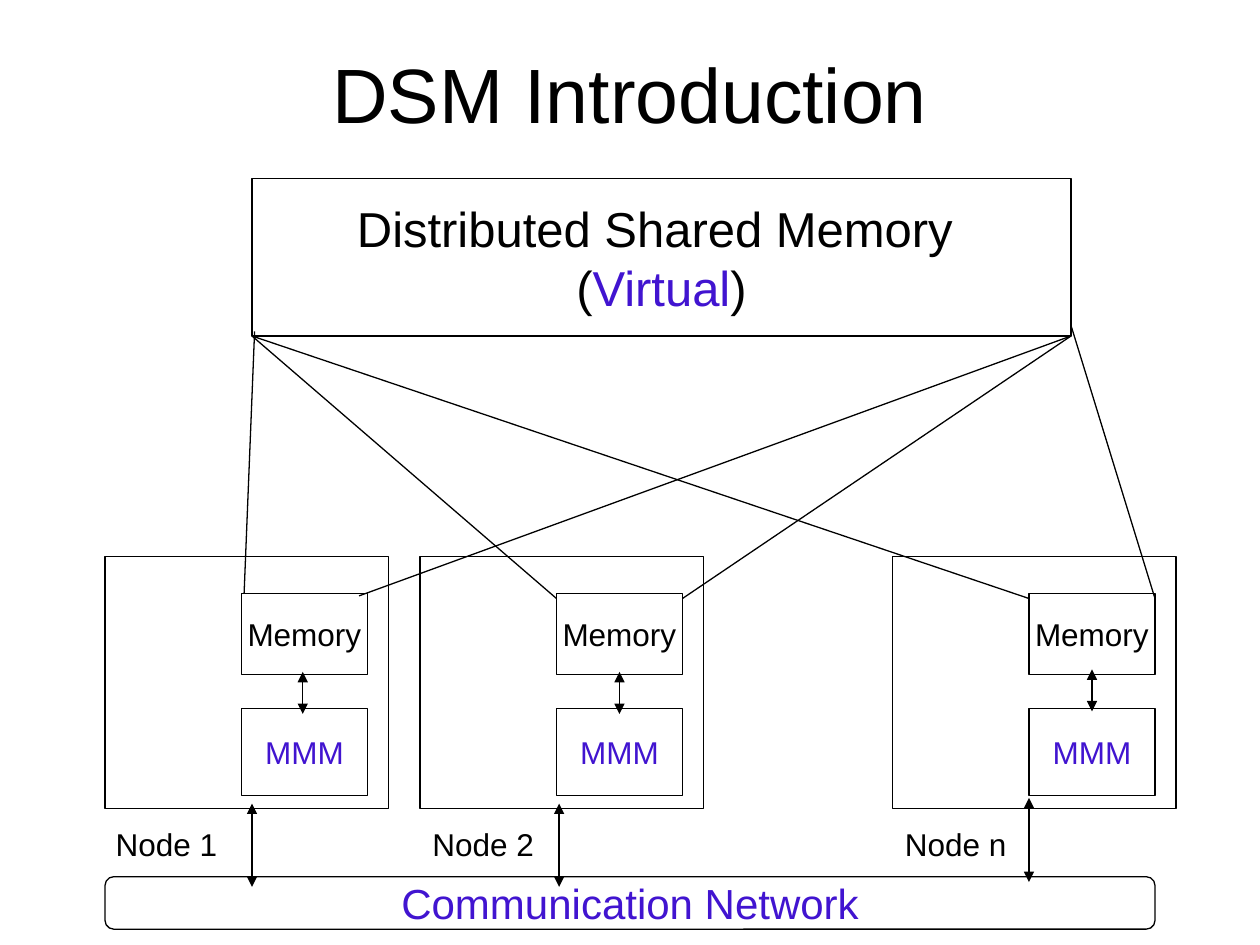
from dataclasses import dataclass

from lxml import etree
from pptx import Presentation
from pptx import util as u
from pptx.dml.color import RGBColor
from pptx.enum import shapes, text
from pptx.oxml import ns


@dataclass(frozen=True)
class Theme:
    font: str = "Arial"
    ink: str = "000000"
    accent: str = "4114D0"
    paper: str = "FFFFFF"
    line: float = 0.75
    title: int = 44
    heading: int = 28
    network: int = 24
    body: int = 18


@dataclass(frozen=True)
class Node:
    name: str
    left: float
    label_left: float
    link: tuple
    bus: tuple


THEME = Theme()
NODES = [
    Node("1", 60, 59, (173, 384), (144, 459.2, 506.8)),
    Node("2", 240, 240, (354, 384), (319.5, 459.2, 506.8)),
    Node("n", 510, 510, (624, 382.5), (588, 456, 504)),
]
LINK_LENGTH = 24
RAYS = [
    (145.5, 189.4, 139.5, 339),
    (612, 192, 205.2, 340.5),
    (144, 192, 318, 342),
    (612, 192, 390, 342),
    (144, 192, 588, 342),
    (612, 186, 660, 342),
]


def points(values):
    return [u.Pt(value) for value in values]


def color(value):
    return RGBColor.from_string(value)


def apply(target, formats):
    for name, value in formats.items():
        setattr(target, name, value)


def write(shape, lines, size, align=text.PP_ALIGN.CENTER,
          anchor=text.MSO_ANCHOR.MIDDLE, wrap=False):
    frame = shape.text_frame
    apply(frame, {"word_wrap": wrap, "vertical_anchor": anchor})
    for index, runs in enumerate(lines):
        paragraph = frame.add_paragraph() if index else frame.paragraphs[0]
        paragraph.alignment = align
        for words, tone in runs:
            run = paragraph.add_run()
            run.text = words
            apply(run.font, {"name": THEME.font, "size": u.Pt(size)})
            run.font.color.rgb = color(tone)


def add_box(slide, bounds, lines=(), size=THEME.body,
            kind=shapes.MSO_SHAPE.RECTANGLE):
    shape = slide.shapes.add_shape(kind, *points(bounds))
    shape.shadow.inherit = False
    shape.fill.solid()
    shape.fill.fore_color.rgb = color(THEME.paper)
    shape.line.color.rgb = color(THEME.ink)
    shape.line.width = u.Pt(THEME.line)
    write(shape, lines, size)


def add_label(slide, bounds, words, size, **formats):
    shape = slide.shapes.add_textbox(*points(bounds))
    write(shape, [[(words, THEME.ink)]], size, **formats)


def add_line(slide, ends, arrows=False):
    connector = slide.shapes.add_connector(
        shapes.MSO_CONNECTOR.STRAIGHT, *points(ends))
    connector.line.color.rgb = color(THEME.ink)
    connector.line.width = u.Pt(THEME.line)
    properties = connector._element.spPr
    if arrows:
        for tag in ("a:headEnd", "a:tailEnd"):
            etree.SubElement(properties.get_or_add_ln(), ns.qn(tag),
                             type="triangle")
    etree.SubElement(properties, ns.qn("a:effectLst"))


def add_node(slide, node):
    add_box(slide, (node.left, 318, 162, 144))
    inner = node.left + 78
    add_box(slide, (inner, 339, 72, 46.5), [[("Memory", THEME.ink)]])
    add_box(slide, (inner, 405, 72, 49.7), [[("MMM", THEME.accent)]])


def add_node_links(slide, node):
    x, top = node.link
    add_line(slide, (x, top, x, top + LINK_LENGTH), arrows=True)
    x, top, bottom = node.bus
    add_line(slide, (x, top, x, bottom), arrows=True)
    add_label(slide, (node.label_left, 468, 73, 29), f"Node {node.name}",
              THEME.body, align=text.PP_ALIGN.LEFT,
              anchor=text.MSO_ANCHOR.TOP)


def main():
    presentation = Presentation()
    apply(presentation, {"slide_width": u.Pt(720), "slide_height": u.Pt(540)})
    slide = presentation.slides.add_slide(presentation.slide_layouts[6])

    add_label(slide, (36, 21.6, 648, 62.6), "DSM Introduction", THEME.title,
              wrap=True)
    add_box(slide, (144, 102, 468, 90), [
        [("Distributed Shared Memory ", THEME.ink)],
        [("(", THEME.ink), ("Virtual", THEME.accent), (")", THEME.ink)],
    ], THEME.heading)
    for node in NODES:
        add_node(slide, node)
    add_box(slide, (60, 501, 600, 30),
            [[("Communication Network", THEME.accent)]], THEME.network,
            shapes.MSO_SHAPE.ROUNDED_RECTANGLE)
    for ray in RAYS:
        add_line(slide, ray)
    for node in NODES:
        add_node_links(slide, node)

    presentation.save("out.pptx")


if __name__ == "__main__":
    main()
